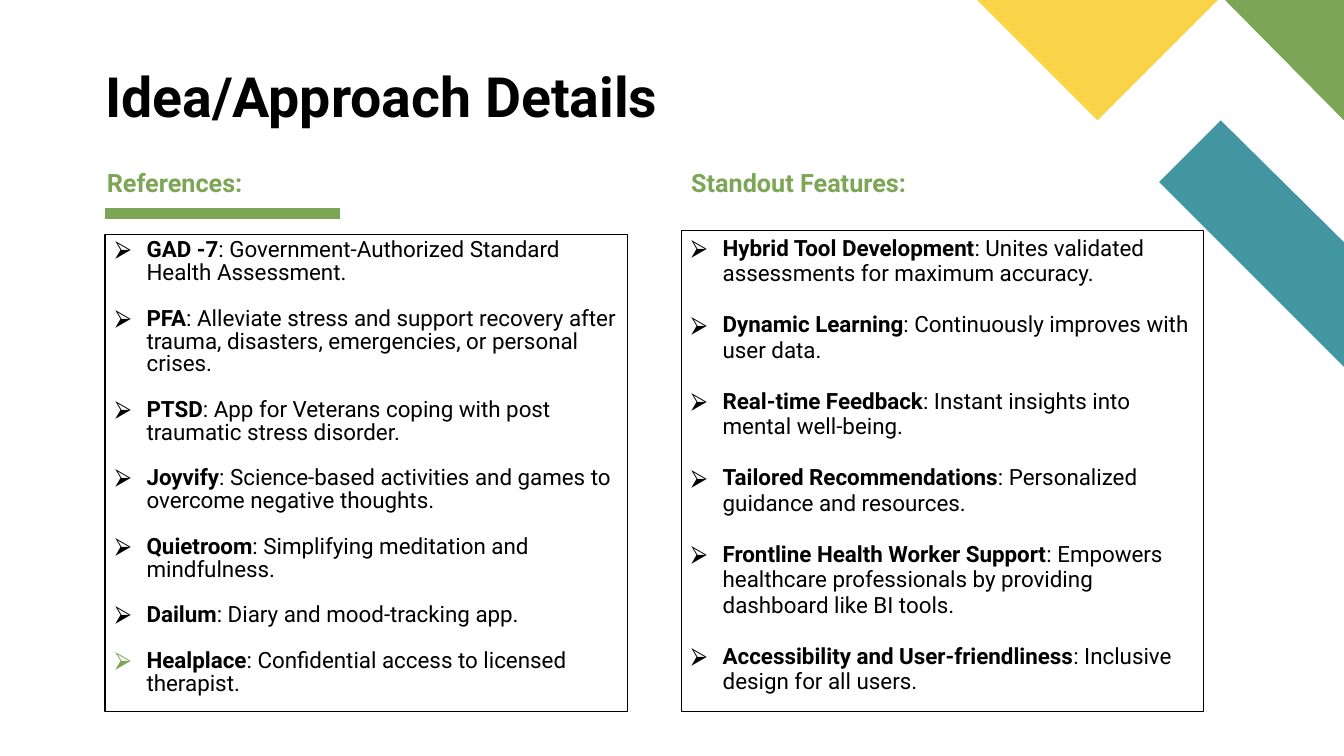
from lxml.etree import SubElement
from pptx import Presentation
from pptx.dml.color import RGBColor
from pptx.enum.shapes import MSO_CONNECTOR
from pptx.enum.text import MSO_ANCHOR, MSO_AUTO_SIZE, PP_ALIGN
from pptx.oxml.ns import qn
from pptx.util import Pt

BLACK = RGBColor(0, 0, 0)
GREEN = RGBColor(0x7C, 0xA6, 0x55)
TEAL = RGBColor(0x44, 0x95, 0xA2)
YELLOW = RGBColor(0xF9, 0xD4, 0x48)

TITLE = "Idea/Approach Details"
REFS = [
    ("GAD -7", "Government-Authorized Standard Health Assessment."),
    ("PFA", "Alleviate stress and support recovery after trauma, disasters, "
            "emergencies, or personal crises."),
    ("PTSD", "App for Veterans coping with post traumatic stress disorder."),
    ("Joyvify", "Science-based activities and games to overcome negative thoughts."),
    ("Quietroom", "Simplifying meditation and mindfulness."),
    ("Dailum", "Diary and mood-tracking app."),
    ("Healplace", "Confidential access to licensed therapist."),
]
FEATURES = [
    ("Hybrid Tool Development", "Unites validated assessments for maximum accuracy."),
    ("Dynamic Learning", "Continuously improves with user data."),
    ("Real-time Feedback", "Instant insights into mental well-being."),
    ("Tailored Recommendations", "Personalized guidance and resources."),
    ("Frontline Health Worker Support",
     "Empowers healthcare professionals by providing dashboard like BI tools."),
    ("Accessibility and User-friendliness", "Inclusive design for all users."),
]
# heading, its left and width, list box left and top, line spacing, gap, last bullet, items
COLUMNS = [
    ("References:", 69.1, 381, 75, 167.5, 0.85, 16.3, GREEN, REFS),
    ("Standout Features:", 486.5, 405, 486.5, 164.8, 0.95, 18.2, BLACK, FEATURES),
]
BOX_WIDTH, BOX_END = 373, 508.3
HEAD_TOP, HEAD_HIGH = 118, 25.5
INSET = (7.2, 3.6, 7.2, 3.6)
HANG = 22.5
CORNER = [
    (YELLOW, [(698.5, 0), (784.4, 86), (870.3, 0)]),
    (GREEN, [(960, 85.5), (960, 0), (874.6, 0)]),
    (TEAL, [(960, 261.5), (960, 173.3), (872.4, 85.9), (828.2, 129.8)]),
]


def assign(target, values):
    for name, value in values.items():
        setattr(target, name, value)


def place(shape, left, top, width, height, inset=INSET, anchor=MSO_ANCHOR.TOP):
    assign(shape, {"left": Pt(left), "top": Pt(top),
                   "width": Pt(width), "height": Pt(height)})
    sides = ("margin_left", "margin_top", "margin_right", "margin_bottom")
    assign(shape.text_frame, {
        **{side: Pt(size) for side, size in zip(sides, inset)},
        "word_wrap": True, "auto_size": MSO_AUTO_SIZE.NONE,
        "vertical_anchor": anchor})


def write(para, text, size, color, bold=True):
    run = para.add_run()
    run.text = text
    assign(run.font, {"name": "Roboto", "size": Pt(size), "bold": bold})
    run.font.color.rgb = color


def layout(para, spacing, gap=0):
    assign(para, {"alignment": PP_ALIGN.LEFT, "line_spacing": spacing,
                  "space_before": Pt(gap), "space_after": Pt(0)})


def bullet(para, color):
    props = para._p.get_or_add_pPr()
    props.set("marL", str(Pt(HANG)))
    props.set("indent", str(-Pt(HANG)))
    tint = SubElement(props, qn("a:buClr"))
    SubElement(tint, qn("a:srgbClr")).set("val", str(color))
    SubElement(props, qn("a:buChar")).set("char", "⮚")


def label(shape, text, size, color):
    para = shape.text_frame.paragraphs[0]
    layout(para, 0.9)
    write(para, text, size, color)


def fill_list(shape, items, spacing, gap, last):
    shape.line.color.rgb = BLACK
    shape.line.width = Pt(0.75)
    frame = shape.text_frame
    for i, (term, note) in enumerate(items):
        para = frame.add_paragraph() if i else frame.paragraphs[0]
        layout(para, spacing, gap if i else 0)
        bullet(para, last if i == len(items) - 1 else BLACK)
        write(para, term, 16, BLACK)
        write(para, ": " + note, 16, BLACK, False)


def draw_corner(slide):
    """Draw the coloured pieces at top right, behind the text."""
    for color, points in CORNER:
        pen = slide.shapes.build_freeform(*points[0], scale=Pt(1))
        pen.add_line_segments(points[1:], close=True)
        piece = pen.convert_to_shape()
        piece.shadow.inherit = False
        piece.fill.solid()
        piece.fill.fore_color.rgb = color
        piece.line.fill.background()
        slide.shapes._spTree.insert(2, piece._element)


def draw_rule(slide):
    rule = slide.shapes.add_connector(
        MSO_CONNECTOR.STRAIGHT, Pt(75), Pt(152.8), Pt(243), Pt(152.8))
    rule.line.color.rgb = GREEN
    rule.line.width = Pt(8)
    SubElement(rule._element.spPr, qn("a:effectLst"))


def main():
    deck = Presentation()
    assign(deck, {"slide_width": Pt(960), "slide_height": Pt(540)})
    slide = deck.slides.add_slide(deck.slide_layouts.get_by_name("Comparison"))
    title, *bodies = slide.placeholders
    draw_corner(slide)
    draw_rule(slide)
    place(title, 75, 44.6, 455, 48.2, (0, 0, 0, 0), MSO_ANCHOR.BOTTOM)
    label(title, TITLE, 39.6, BLACK)
    for column, head, box in zip(COLUMNS, bodies[::2], bodies[1::2]):
        text, start, width, left, top, spacing, gap, last, items = column
        place(head, start, HEAD_TOP, width, HEAD_HIGH)
        label(head, text, 18, GREEN)
        place(box, left, top, BOX_WIDTH, BOX_END - top)
        fill_list(box, items, spacing, gap, last)
    deck.save("out.pptx")


if __name__ == "__main__":
    main()
